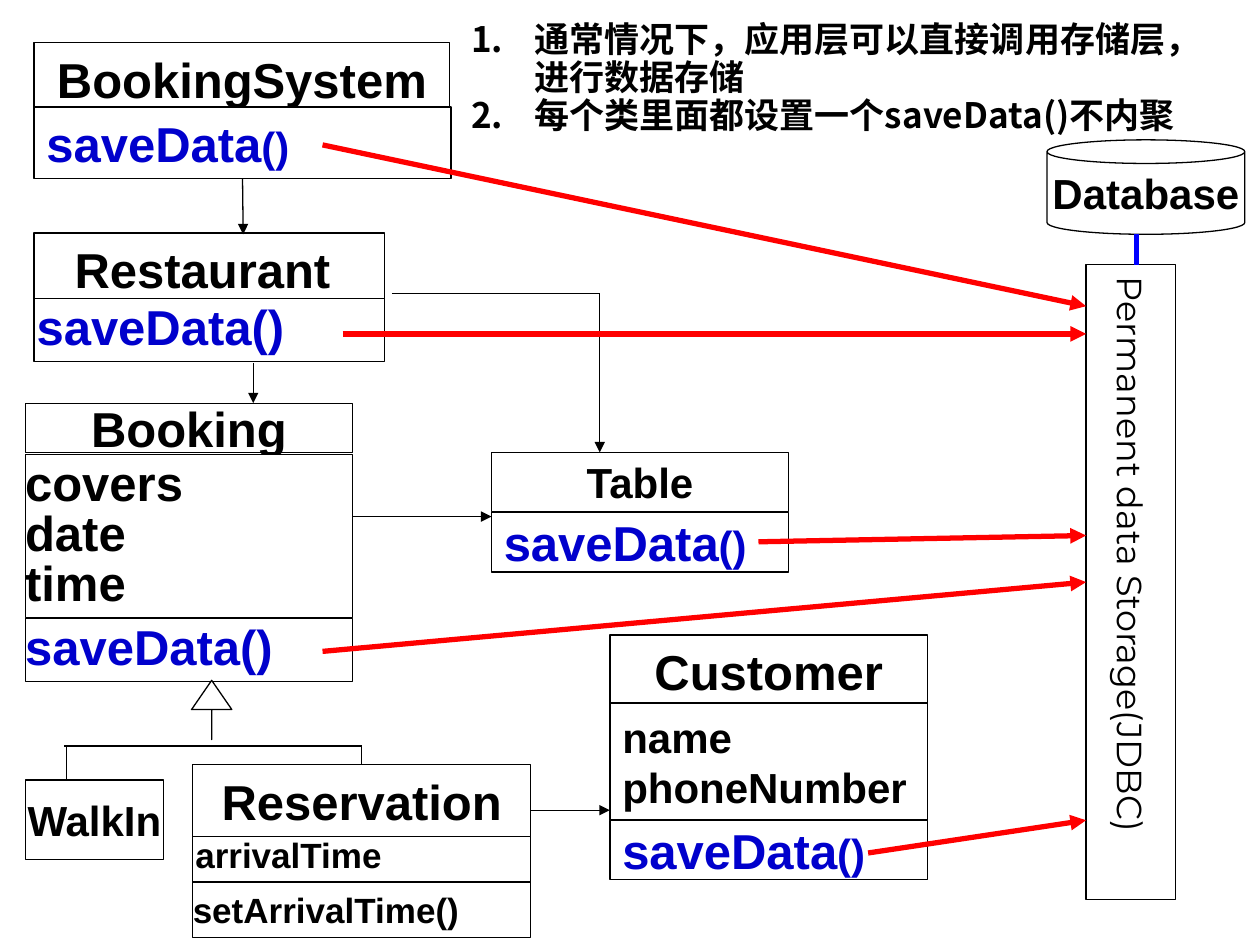
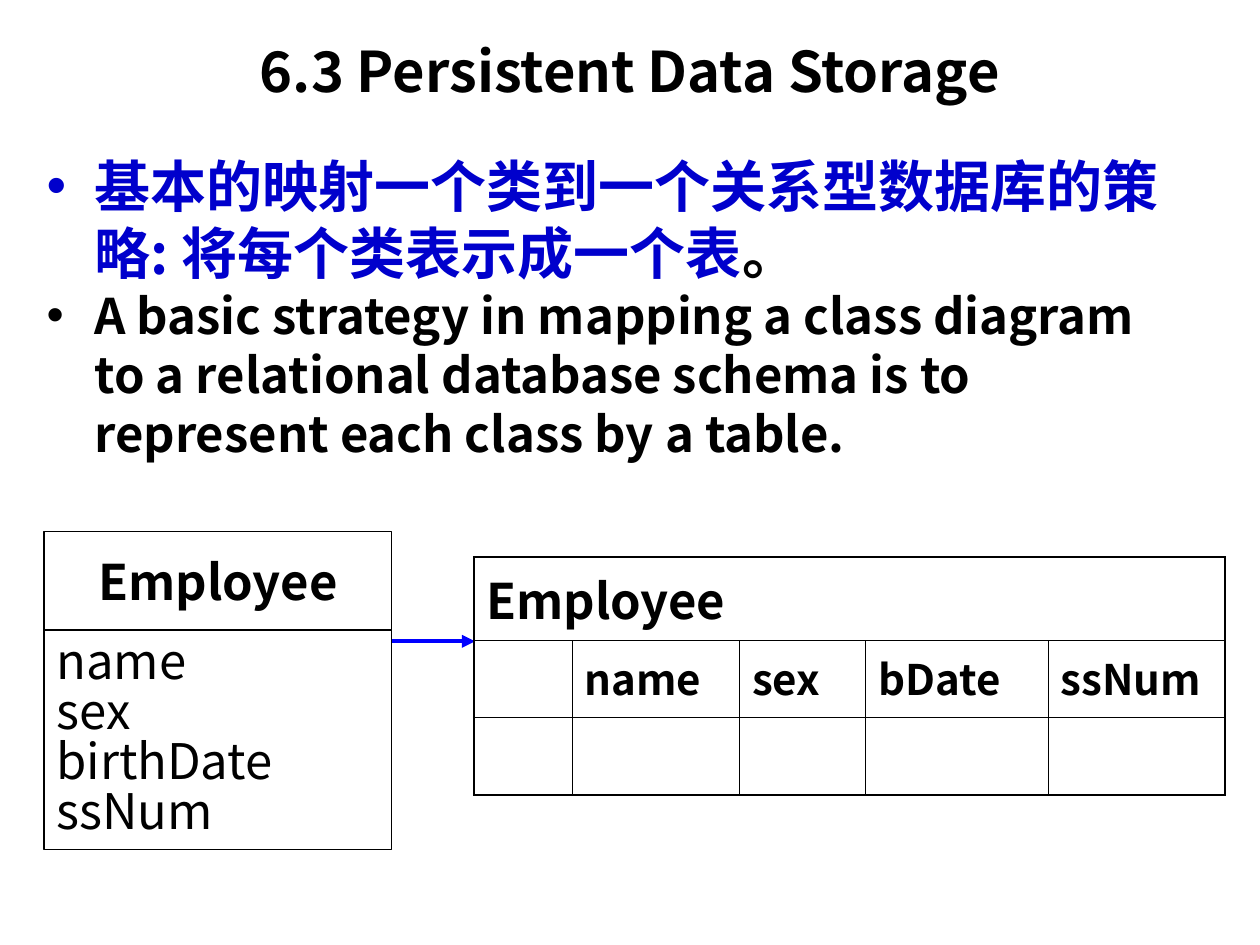
from lxml import etree
from pptx import Presentation
from pptx import util as u
from pptx.dml.color import RGBColor
from pptx.enum import shapes, text
from pptx.oxml import ns


class Theme:
    black = RGBColor(0x00, 0x00, 0x00)
    white = RGBColor(0xFF, 0xFF, 0xFF)
    blue = RGBColor(0x00, 0x00, 0xCC)
    link = RGBColor(0x00, 0x00, 0xFF)
    red = RGBColor(0xFF, 0x00, 0x00)
    latin = "Arial"
    chinese = "Noto Sans CJK SC"
    vertical = "Montserrat"
    title, heading, label, small = 32, 28, 24, 20
    thin, link_width, thick = 0.75, 2.5, 3
    grid, frame = 0.45, 1.08


LEFT, CENTER = text.PP_ALIGN.LEFT, text.PP_ALIGN.CENTER
RECT, CAN = shapes.MSO_SHAPE.RECTANGLE, shapes.MSO_SHAPE.CAN


def write_text(frame, lines, size=Theme.heading, color=Theme.black, font=Theme.latin,
               bold=True, align=LEFT, spacing=1.0, before=0):
    for number, line in enumerate(lines):
        para = frame.paragraphs[0] if number == 0 else frame.add_paragraph()
        layout = {"alignment": align, "line_spacing": spacing, "space_before": u.Pt(before)}
        for name, value in layout.items():
            setattr(para, name, value)
        for words, changes in [(line, {})] if isinstance(line, str) else line:
            span = para.add_run()
            span.text = words
            style = {"size": size, "color": color} | changes
            values = {"name": font, "size": u.Pt(style["size"]), "bold": bold}
            for name, value in values.items():
                setattr(span.font, name, value)
            span.font.color.rgb = style["color"]
            etree.SubElement(span._r.get_or_add_rPr(), ns.qn("a:ea"), typeface=font)


def add_line(page, start, end, color=Theme.black, width=Theme.thin, arrow=True):
    line = page.shapes.add_connector(shapes.MSO_CONNECTOR.STRAIGHT,
                                     *[u.Inches(value) for value in (*start, *end)])
    line.line.color.rgb = color
    line.line.width = u.Pt(width)
    if arrow:
        etree.SubElement(line.line._get_or_add_ln(), ns.qn("a:tailEnd"), type="triangle")
    etree.SubElement(line._element.spPr, ns.qn("a:effectLst"))
    return line


deck = Presentation()
deck.slide_width, deck.slide_height = u.Inches(10), u.Inches(7.5)
diagram = deck.slides.add_slide(deck.slide_layouts[6])
mapping = deck.slides.add_slide(deck.slide_layouts[1])

note = diagram.shapes.add_textbox(*[u.Inches(value) for value in (3.74, 0.13, 5.91, 1)])
note.text_frame.word_wrap = True
note.text_frame.margin_left = note.text_frame.margin_right = 0
write_text(note.text_frame,
           ["通常情况下，应用层可以直接调用存储层，进行数据存储",
            "每个类里面都设置一个saveData()不内聚"],
           size=Theme.small, font=Theme.chinese, spacing=0.9)

title, body = mapping.placeholders
for box, place in ((title, (0.5, 0.21, 9, 0.69)), (body, (0.27, 1.15, 9.22, 2.76))):
    for name, value in zip(("left", "top", "width", "height"), place):
        setattr(box, name, u.Inches(value))
    box.text_frame.auto_size = text.MSO_AUTO_SIZE.NONE
title.text_frame.vertical_anchor = text.MSO_ANCHOR.MIDDLE
write_text(title.text_frame, ["6.3 Persistent Data Storage"],
           size=Theme.title, font=Theme.chinese, align=CENTER)
write_text(body.text_frame,
           [[("基本的映射一个类到一个关系型数据库的策略: 将每个类表示成一个表",
              {"size": Theme.title, "color": Theme.blue}), ("。", {"size": Theme.title})],
            "A basic strategy in mapping a class diagram to a relational database schema "
            "is to represent each class by a table."],
           font=Theme.chinese)

numbered, dotted = ("buAutoNum", {"type": "arabicPeriod"}), ("buChar", {"char": "•"})
for box, indent, (tag, marker), colors in (
        (note, 0.5, numbered, (Theme.black, Theme.black)),
        (body, 0.38, dotted, (Theme.blue, Theme.black))):
    for para, color in zip(box.text_frame.paragraphs, colors):
        properties = para._p.get_or_add_pPr()
        properties.set("marL", str(u.Inches(indent)))
        properties.set("indent", str(-u.Inches(indent)))
        tint = etree.SubElement(properties, ns.qn("a:buClr"))
        etree.SubElement(tint, ns.qn("a:srgbClr"), val=str(color))
        etree.SubElement(properties, ns.qn("a:" + tag), marker)

save = [[("saveData", {}), ("()", {"size": Theme.label})]]
centered = {"align": CENTER}
label = {"align": CENTER, "size": Theme.label}
method = {"color": Theme.blue}
tight_method = {"color": Theme.blue, "spacing": 0.85}
employee = mapping.shapes.add_group_shape()
class_boxes = [
    (diagram, "system", RECT, (0.27, 0.34, 3.3, 0.57), 0.1, ["BookingSystem"], centered),
    (diagram, "system save", RECT, (0.27, 0.85, 3.31, 0.57), 0.1, save, method),
    (diagram, "booking", RECT, (0.2, 3.2, 2.6, 0.39), 0.1, ["Booking"], centered),
    (diagram, "booking fields", RECT, (0.2, 3.61, 2.6, 1.29), 0,
     ["covers", "date", "time"], {"spacing": 0.85}),
    (diagram, "booking save", RECT, (0.2, 4.91, 2.6, 0.5), 0, ["saveData()"], tight_method),
    (diagram, "restaurant", RECT, (0.27, 1.85, 2.78, 0.57), 0.02, ["Restaurant "], centered),
    (diagram, "restaurant save", RECT, (0.27, 2.37, 2.78, 0.5), 0.02, ["saveData()"],
     tight_method),
    (diagram, "arrival", RECT, (1.53, 6.56, 2.68, 0.44), 0.02, ["arrivalTime"],
     {"size": Theme.small}),
    (diagram, "set arrival", RECT, (1.53, 7, 2.68, 0.44), 0, ["setArrivalTime()"],
     {"size": Theme.small}),
    (diagram, "reservation", RECT, (1.53, 6.07, 2.68, 0.57), 0.02, ["Reservation"], centered),
    (diagram, "walk-in", RECT, (0.2, 6.19, 1.1, 0.63), 0.1, ["WalkIn"], label),
    (diagram, "table", RECT, (3.9, 3.59, 2.36, 0.47), 0.1, ["Table"], label),
    (diagram, "table save", RECT, (3.9, 4.07, 2.36, 0.47), 0.1, save, method),
    (diagram, "customer", RECT, (4.84, 5.04, 2.52, 0.57), 0, ["Customer"], centered),
    (diagram, "customer fields", RECT, (4.84, 5.58, 2.52, 0.93), 0.1,
     ["name", "phoneNumber"], {"size": Theme.label}),
    (diagram, "customer save", RECT, (4.84, 6.51, 2.52, 0.47), 0.1, save, method),
    (diagram, "storage", RECT, (8.62, 2.1, 0.71, 5.04), 0.05, ["Permanent data Storage(JDBC)"],
     {"size": Theme.small, "font": Theme.vertical, "bold": False, "align": CENTER}),
    (diagram, "database", CAN, (8.31, 1.11, 1.57, 0.75), 0.1, ["Database"], label),
    (employee, "employee", RECT, (0.35, 4.22, 2.76, 0.78), 0.1, ["Employee"],
     {"font": Theme.chinese, "align": CENTER}),
    (employee, "employee fields", RECT, (0.35, 5, 2.76, 1.74), 0.1,
     ["name", "sex", "birthDate", "ssNum"],
     {"font": Theme.chinese, "bold": False, "spacing": 0.85}),
    (diagram, "inheritance", shapes.MSO_SHAPE.UP_ARROW, (1.52, 5.4, 0.32, 0.47), 0, [], {}),
]
boxes = {}
for parent, key, kind, place, inset, lines, style in class_boxes:
    box = parent.shapes.add_shape(kind, *[u.Inches(value) for value in place])
    box.shadow.inherit = False
    box.fill.solid()
    box.fill.fore_color.rgb = Theme.white
    box.line.color.rgb = Theme.black
    box.line.width = u.Pt(Theme.thin)
    frame_format = {"word_wrap": False, "vertical_anchor": text.MSO_ANCHOR.MIDDLE,
                    "margin_left": u.Inches(inset), "margin_right": u.Inches(inset)}
    for name, value in frame_format.items():
        setattr(box.text_frame, name, value)
    write_text(box.text_frame, lines, **style)
    boxes[key] = box
boxes["storage"].text_frame._txBody.bodyPr.set("vert", "eaVert")
boxes["inheritance"].adjustments[0] = 0
boxes["inheritance"].adjustments[1] = 0.725

for start, end in (((0.51, 5.92), (2.87, 5.92)), ((0.53, 5.92), (0.53, 6.19)),
                   ((3.11, 2.33), (4.76, 2.33))):
    add_line(diagram, start, end, arrow=False)
reservation_branch = add_line(diagram, (2.87, 5.92), (2.87, 6.07), arrow=False)
reservation_branch.end_connect(boxes["reservation"], 0)
add_line(diagram, (9.02, 2.1), (9.02, 1.86), Theme.link, Theme.thick, arrow=False)

system_link = add_line(diagram, (1.93, 1.42), (1.93, 1.86))
system_link.begin_connect(boxes["system save"], 2)
for start, end in (((2.01, 2.88), (2.01, 3.2)), ((4.76, 2.33), (4.76, 3.59)),
                   ((4.21, 6.43), (4.84, 6.43)), ((2.8, 4.1), (3.9, 4.1))):
    add_line(diagram, start, end)

for left, top, target in ((2.56, 1.15, 2.43), (6.02, 4.3, 4.25), (2.72, 2.65, 2.65),
                          (6.89, 6.77, 6.51)):
    add_line(diagram, (left, top), (8.62, target), Theme.red, Theme.thick)
booking_call = add_line(diagram, (2.56, 5.17), (8.62, 4.62), Theme.red, Theme.thick)
booking_call.end_connect(boxes["storage"], 1)

add_line(mapping, (3.11, 5.09), (3.77, 5.09), Theme.link, Theme.link_width)
widths, heights = (0.78, 1.33, 1, 1.45, 1.4), (0.62, 0.61, 0.62)
holder = mapping.shapes.add_table(len(heights), len(widths), u.Inches(3.76), u.Inches(4.42),
                                  u.Inches(sum(widths)), u.Inches(sum(heights)))
schema = holder.table
schema.first_row = schema.horz_banding = False
for column, width in zip(schema.columns, widths):
    column.width = u.Inches(width)
for row, height in zip(schema.rows, heights):
    row.height = u.Inches(height)
schema.cell(0, 0).merge(schema.cell(0, len(widths) - 1))
write_text(schema.cell(0, 0).text_frame, ["Employee"], font=Theme.chinese)
for column, name in enumerate(("name", "sex", "bDate", "ssNum"), start=1):
    write_text(schema.cell(1, column).text_frame, [name],
               size=Theme.label, font=Theme.chinese, before=6)

for row in range(len(heights)):
    for column in range(len(widths)):
        cell = schema.cell(row, column)
        cell.fill.background()
        outer = {"lnL": column == 0, "lnR": row == 0 or column == len(widths) - 1,
                 "lnT": row == 0, "lnB": row == len(heights) - 1}
        for position, (side, is_outer) in enumerate(outer.items()):
            width = u.Pt(Theme.frame if is_outer else Theme.grid)
            border = etree.Element(ns.qn("a:" + side), w=str(width))
            paint = etree.SubElement(border, ns.qn("a:solidFill"))
            etree.SubElement(paint, ns.qn("a:srgbClr"), val=str(Theme.black))
            cell._tc.get_or_add_tcPr().insert(position, border)

deck.save("out.pptx")
